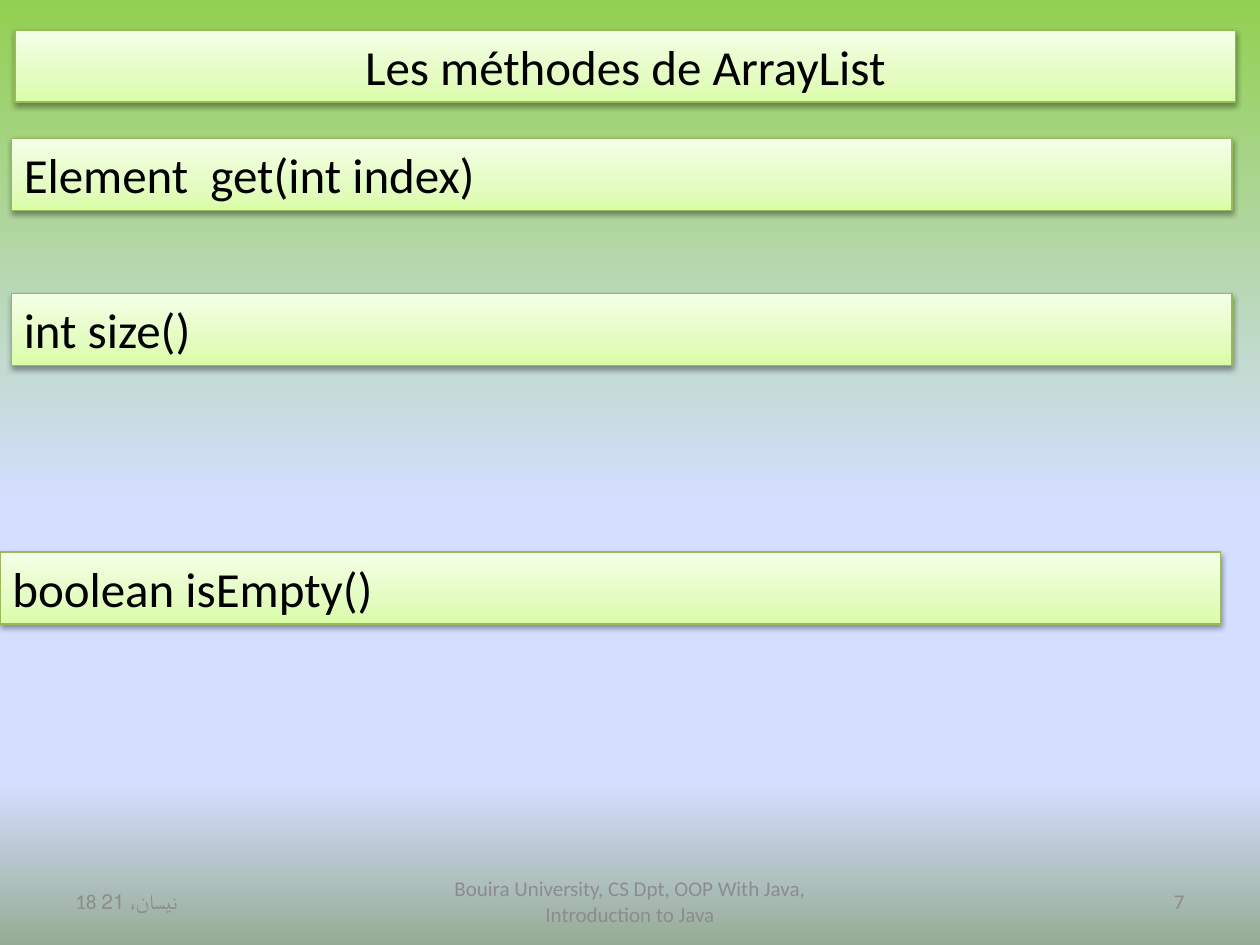
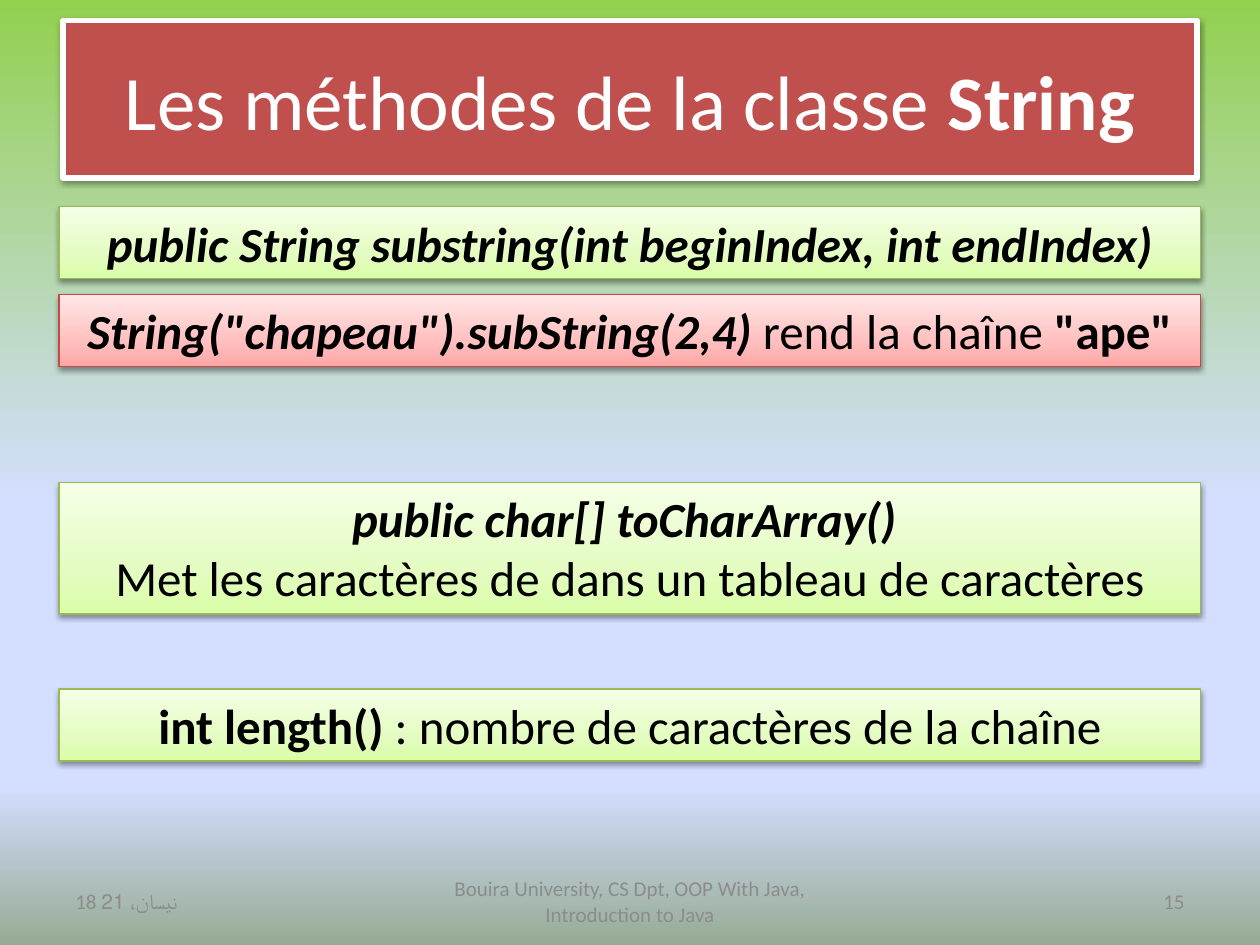
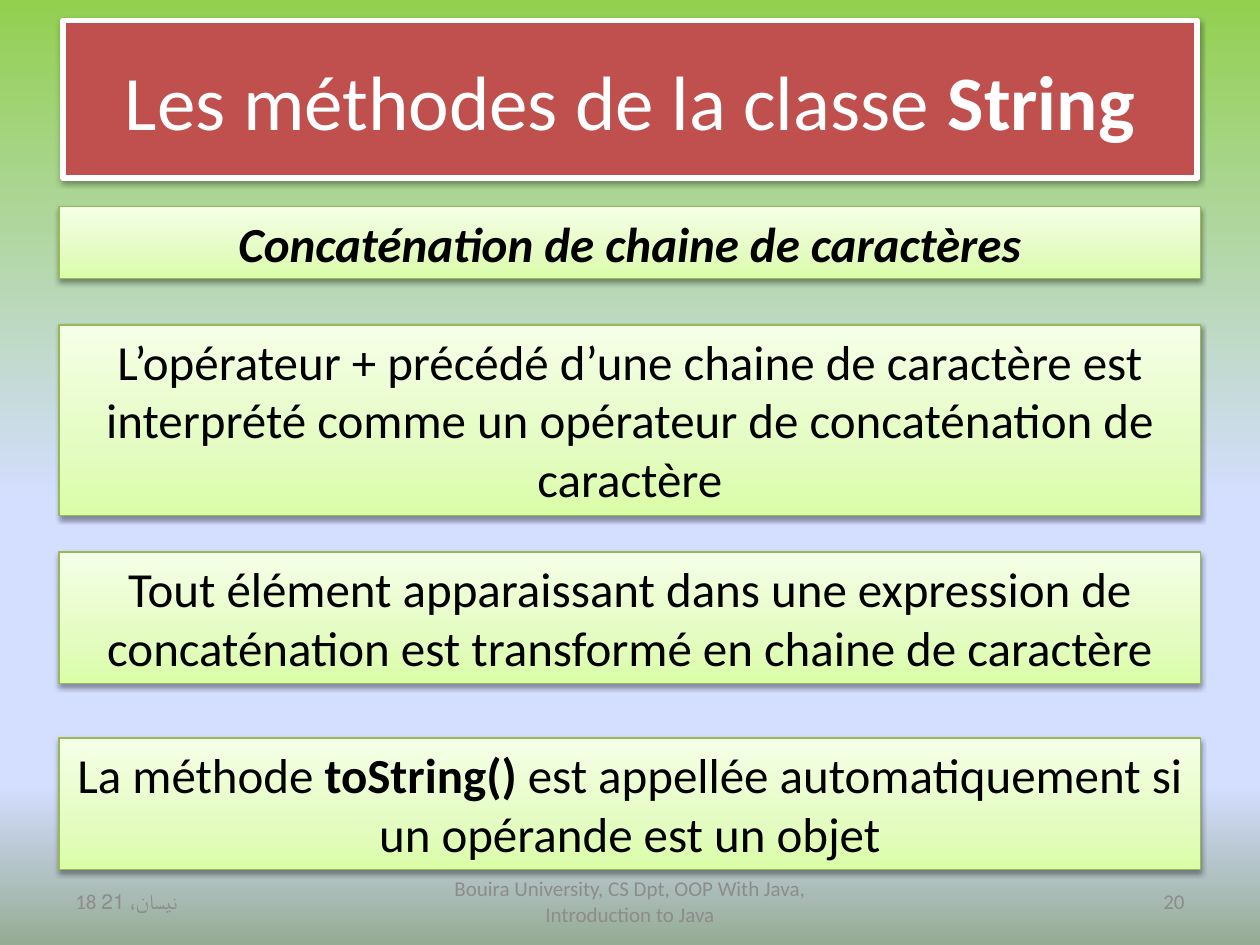
from pptx import Presentation
from pptx.dml.color import RGBColor
from pptx.enum.shapes import MSO_SHAPE
from pptx.enum.text import MSO_ANCHOR, MSO_AUTO_SIZE, PP_ALIGN
from pptx.oxml import parse_xml
from pptx.oxml.ns import nsdecls, qn
from pptx.util import Cm, Pt

BACKGROUND = [(0, "92D050"), (53, "D4DEFF"), (83, "D4DEFF"), (100, "96AB94")]
GREEN = [(0, "DAFDA7"), (35, "E4FCC2"), (100, "F5FFE7")]
RED = [(0, "FFA6A5"), (35, "FFC0BF"), (100, "FFE7E7")]
STYLES = {
    "green": dict(fill=GREEN, line="98B955", width=0.75, size=28, color="000000"),
    "red": dict(fill=RED, line="BF4C48", width=0.75, size=28, color="000000"),
    "banner": dict(fill="C0504D", line="FFFFFF", width=3, size=44, color="FFFFFF"),
}
LEFT, CENTER, RIGHT = PP_ALIGN.LEFT, PP_ALIGN.CENTER, PP_ALIGN.RIGHT
SHADOW = (
    f'<a:outerShdw {nsdecls("a")} blurRad="40000" dist="20000" dir="5400000" rotWithShape="0">'
    '<a:srgbClr val="000000"><a:alpha val="38000"/></a:srgbClr></a:outerShdw>'
)


def set_gradient(fill, element, stops, angle):
    """Fill with (percent, hex) stops; the angle runs counter-clockwise."""
    fill.gradient()
    fill.gradient_angle = angle
    gs_list = next(element.iter(qn("a:gsLst")))
    for gs in list(gs_list):
        gs_list.remove(gs)
    for percent, color in stops:
        gs_list.append(parse_xml(
            f'<a:gs {nsdecls("a")} pos="{percent * 1000}"><a:srgbClr val="{color}"/></a:gs>'))


def write(tf, paragraphs, align, size, color, anchor):
    """Write paragraphs of (text, flags) runs, where flags may hold b and i."""
    tf.word_wrap = True
    tf.vertical_anchor = anchor
    for n, runs in enumerate(paragraphs):
        p = tf.add_paragraph() if n else tf.paragraphs[0]
        p.alignment = align
        for text, flags in runs:
            r = p.add_run()
            r.text = text
            font = dict(name="Calibri", size=Pt(size), bold="b" in flags, italic="i" in flags)
            for key, value in font.items():
                setattr(r.font, key, value)
            r.font.color.rgb = RGBColor.from_string(color)


STRING_TITLE = (1.27, 0.41, 22.86, 3.18, "banner", CENTER,
                [[("Les méthodes de la classe ", ""), ("String", "b")]])
BAR_LEFT, BAR_WIDTH = 1.19, 23.01
WIDE = 24.61
ONE, TWO, THREE = (0.25 + 1.2 * lines for lines in (1, 2, 3))

# Page number, then boxes: left, top, width, height, style, alignment, text.
# The first box of each slide is its title.
SLIDES = [
    (7, [
        (0.3, 0.61, WIDE, ONE, "green", CENTER, [[("Les méthodes de ArrayList", "")]]),
        (0.23, 2.79, WIDE, ONE, "green", LEFT, [[("Element  get(int index)", "")]]),
        (0.23, 5.92, WIDE, ONE, "green", LEFT, [[("int size()", "")]]),
        (0, 11.13, WIDE, ONE, "green", LEFT, [[("boolean isEmpty()", "")]]),
    ]),
    (15, [
        STRING_TITLE,
        (BAR_LEFT, 4.17, BAR_WIDTH, ONE, "green", CENTER,
         [[("public String substring(int beginIndex, int endIndex)", "bi")]]),
        (BAR_LEFT, 9.73, BAR_WIDTH, TWO, "green", CENTER,
         [[("public char[] toCharArray() ", "bi")],
          [("Met les caractères de dans un tableau de caractères", "")]]),
        (BAR_LEFT, 5.94, BAR_WIDTH, ONE, "red", CENTER,
         [[('String("chapeau").subString(2,4) ', "bi"), ("rend la chaîne ", ""),
           ('"ape"', "b")]]),
        (BAR_LEFT, 13.89, BAR_WIDTH, ONE, "green", CENTER,
         [[("int length()", "b"), (" : nombre de caractères de la chaîne", "")]]),
    ]),
    (20, [
        STRING_TITLE,
        (BAR_LEFT, 4.17, BAR_WIDTH, ONE, "green", CENTER,
         [[("Concaténation de chaine de caractères", "bi")]]),
        (BAR_LEFT, 6.55, BAR_WIDTH, THREE, "green", CENTER,
         [[("L’opérateur + précédé d’une chaine de caractère est interprété comme "
            "un opérateur de concaténation de caractère", "")]]),
        (BAR_LEFT, 11.13, BAR_WIDTH, TWO, "green", CENTER,
         [[("Tout élément apparaissant dans une expression de concaténation est "
            "transformé en chaine de caractère", "")]]),
        (BAR_LEFT, 14.88, BAR_WIDTH, TWO, "green", CENTER,
         [[("La méthode ", ""), ("toString() ", "b"),
           ("est appellée automatiquement si un opérande est un objet", "")]]),
    ]),
]

prs = Presentation()
prs.slide_width, prs.slide_height = Cm(25.4), Cm(19.05)
master = prs.slide_master
set_gradient(master.background.fill, master._element.cSld, BACKGROUND, 270)

for number, boxes in SLIDES:
    s = prs.slides.add_slide(prs.slide_layouts[5])
    for n, (left, top, width, height, style_name, align, paragraphs) in enumerate(boxes):
        style = STYLES[style_name]
        place = [Cm(v) for v in (left, top, width, height)]
        if n == 0:
            sp = s.shapes.title
            sp.left, sp.top, sp.width, sp.height = place
        else:
            sp = s.shapes.add_shape(MSO_SHAPE.RECTANGLE, *place)
        if isinstance(style["fill"], str):
            sp.fill.solid()
            sp.fill.fore_color.rgb = RGBColor.from_string(style["fill"])
        else:
            set_gradient(sp.fill, sp._element.spPr, style["fill"], 90)
        sp.line.color.rgb = RGBColor.from_string(style["line"])
        sp.line.width = Pt(style["width"])
        sp.shadow.inherit = False
        sp._element.spPr.find(qn("a:effectLst")).append(parse_xml(SHADOW))
        tf = sp.text_frame
        tf.auto_size = MSO_AUTO_SIZE.NONE if n == 0 else MSO_AUTO_SIZE.SHAPE_TO_FIT_TEXT
        write(tf, paragraphs, align, style["size"], style["color"],
              MSO_ANCHOR.MIDDLE if n == 0 else MSO_ANCHOR.TOP)

    for left, width, align, text in [
        (8.68, 8.04, CENTER, "Bouira University, CS Dpt, OOP With Java, Introduction to Java"),
        (18.2, 5.93, RIGHT, str(number)),
        (1.27, 5.93, LEFT, "18 نيسان، 21"),
    ]:
        footer = s.shapes.add_textbox(Cm(left), Cm(17.66), Cm(width), Cm(1.01))
        write(footer.text_frame, [[(text, "")]], align, 12, "8C8C8C", MSO_ANCHOR.MIDDLE)

prs.save("out.pptx")
